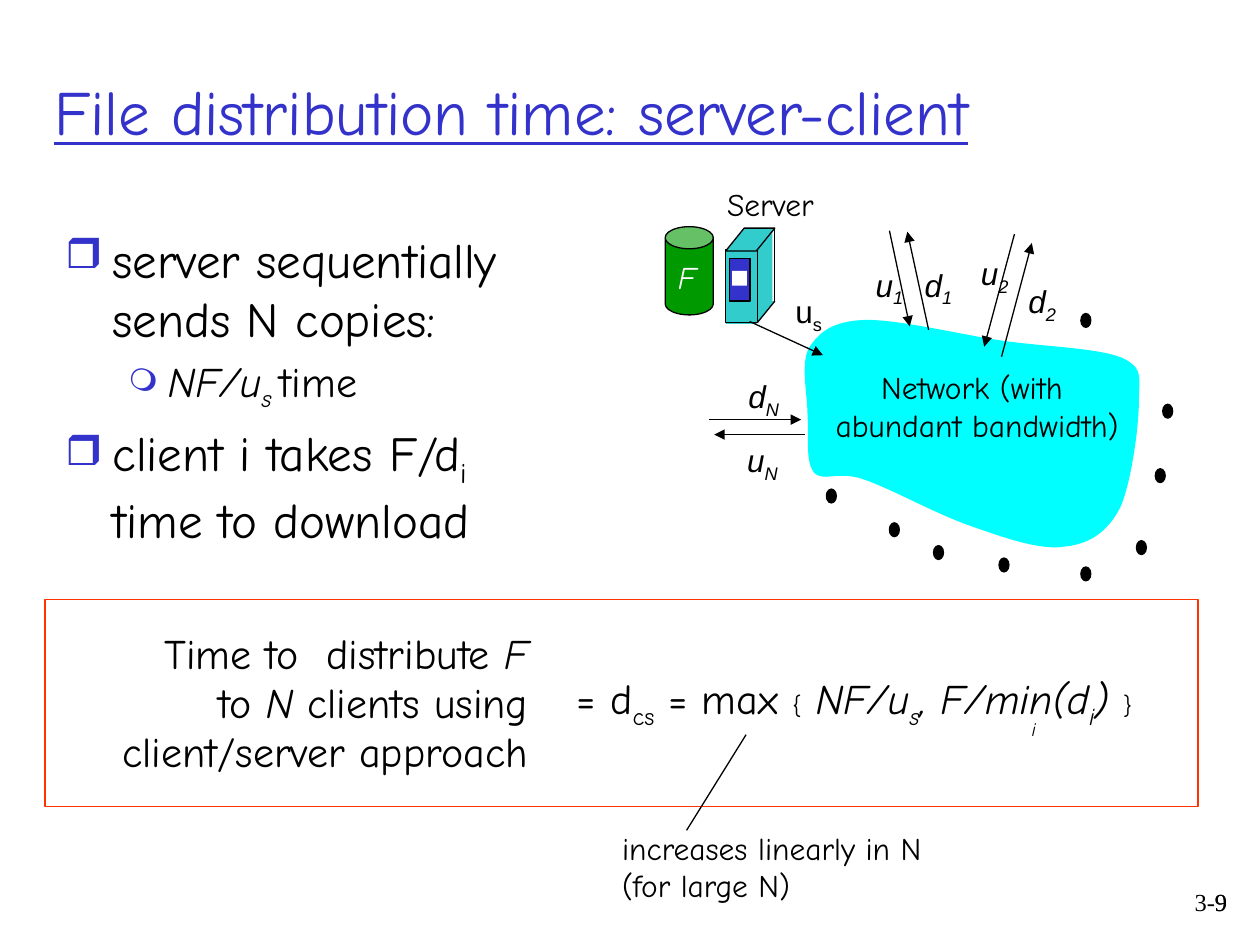
from dataclasses import dataclass
from typing import NamedTuple

from lxml import etree
from pptx import Presentation
from pptx import util as u
from pptx.dml.color import RGBColor
from pptx.enum import shapes, text
from pptx.oxml import ns

HUES = {"ink": "000000", "blue": "3333CC", "cyan": "00FFFF", "teal": "33CCCC",
        "green": "009900", "white": "FFFFFF", "red": "FF3300"}
COMIC, ARIAL, TIMES = "Comic Neue", "Arial", "Times New Roman"
KIND = shapes.MSO_SHAPE
LEFT, MID, RIGHT = text.PP_ALIGN.LEFT, text.PP_ALIGN.CENTER, text.PP_ALIGN.RIGHT


class Run(NamedTuple):
    words: str
    slant: bool = False
    sub: bool = False
    size: float = 0


@dataclass
class Para:
    runs: list[Run]
    size: float = 18
    mark: str = ""
    scale: int = 100
    left: float = 0
    hang: float = 0


@dataclass
class Label:
    box: tuple
    paras: list[Para]
    font: str = COMIC
    hue: str = "ink"
    side: int = MID
    wrap: bool = True
    grow: bool = True
    pitch: float = 0
    line: bool = False
    anchor: int = text.MSO_ANCHOR.TOP


@dataclass
class Block:
    kind: int
    box: tuple
    fill: str = ""
    edge: str = ""
    bend: float = 0


class Link(NamedTuple):
    start: tuple
    end: tuple
    tip: bool = True


def color(name: str) -> RGBColor:
    return RGBColor.from_string(HUES[name])


def cms(nums: tuple) -> list:
    return [u.Cm(n) for n in nums]


def paint(shape, fill: str, edge: str) -> None:
    shape.shadow.inherit = False
    if fill:
        shape.fill.solid()
        shape.fill.fore_color.rgb = color(fill)
    else:
        shape.fill.background()
    if edge:
        shape.line.color.rgb = color(edge)
        shape.line.width = u.Pt(0.75)
    else:
        shape.line.fill.background()


def add_block(slide, block: Block) -> None:
    shape = slide.shapes.add_shape(block.kind, *cms(block.box))
    if block.bend:
        shape.adjustments[0] = block.bend
    paint(shape, block.fill, block.edge)


def add_link(slide, link: Link) -> None:
    wire = slide.shapes.add_connector(shapes.MSO_CONNECTOR.STRAIGHT,
                                      *cms(link.start + link.end))
    wire.line.color.rgb = color("ink")
    wire.line.width = u.Pt(0.75)
    if link.tip:
        etree.SubElement(wire.line._get_or_add_ln(), ns.qn("a:tailEnd"), type="triangle")
    etree.SubElement(wire._element.spPr, ns.qn("a:effectLst"))


def add_cloud(slide, start: tuple, curves: list, steps: int = 12) -> None:
    points, here = [], start
    for one, two, end in curves:
        for step in range(1, steps + 1):
            t = step / steps
            s = 1 - t
            points.append(tuple(
                u.Cm(s ** 3 * a + 3 * s * s * t * b + 3 * s * t * t * c + t ** 3 * d)
                for a, b, c, d in zip(here, one, two, end)))
        here = end
    pen = slide.shapes.build_freeform(*cms(start), scale=1.0)
    pen.add_line_segments(points, close=True)
    paint(pen.convert_to_shape(), "cyan", "")


def set_mark(para, item: Para) -> None:
    props = para._p.get_or_add_pPr()
    props.set("marL", str(u.Cm(item.left)))
    props.set("indent", str(u.Cm(-item.hang)))
    if item.mark:
        tint = etree.SubElement(props, ns.qn("a:buClr"))
        etree.SubElement(tint, ns.qn("a:srgbClr"), val=HUES["blue"])
        etree.SubElement(props, ns.qn("a:buSzPct"), val=str(item.scale * 1000))
        etree.SubElement(props, ns.qn("a:buChar"), char=item.mark)


def add_label(slide, label: Label) -> None:
    frame = slide.shapes.add_textbox(*cms(label.box)).text_frame
    frame.word_wrap = label.wrap
    frame.vertical_anchor = label.anchor
    if label.grow:
        frame.auto_size = text.MSO_AUTO_SIZE.SHAPE_TO_FIT_TEXT
    for spot, item in enumerate(label.paras):
        para = frame.add_paragraph() if spot else frame.paragraphs[0]
        para.alignment = label.side
        if item.left:
            set_mark(para, item)
        if label.pitch:
            para.line_spacing = label.pitch
        if spot and item.left:
            para.space_before = u.Pt(round(item.size * 0.2, 1))
        for part in item.runs:
            run = para.add_run()
            run.text = part.words
            font = run.font
            font.name = label.font
            font.size = u.Pt(part.size or item.size)
            font.color.rgb = color(label.hue)
            font.italic = part.slant
            font.underline = label.line
            if part.sub:
                font._element.set("baseline", "-25000")


def rate(base: str, low: str, box: tuple, slant: bool = True) -> Label:
    return Label(box, [Para([Run(base, slant), Run(low, slant, True)])], ARIAL, wrap=slant)


def hung(size: float, *runs: Run) -> Para:
    return Para(list(runs), size, left=0.95, hang=0.95)


CLOUD = [((16.76, 6.48), (16.51, 6.71), (16.31, 7.01)),
         ((16.13, 7.34), (16.28, 7.95), (16.28, 8.38)),
         ((16.31, 8.79), (16.23, 9.3), (16.41, 9.53)),
         ((16.61, 9.73), (16.92, 9.47), (17.45, 9.68)),
         ((17.98, 9.86), (18.92, 10.39), (19.61, 10.62)),
         ((20.27, 10.85), (20.98, 11.1), (21.46, 11.02)),
         ((21.97, 10.97), (22.33, 10.72), (22.58, 10.24)),
         ((22.81, 9.73), (22.96, 8.59), (22.96, 8.08)),
         ((22.96, 7.59), (23.06, 7.42), (22.61, 7.21)),
         ((22.12, 7.01), (21.01, 6.99), (20.14, 6.86)),
         ((19.3, 6.73), (18.06, 6.43), (17.42, 6.45))]
DOTS = [(16.66, 9.86), (17.93, 10.54), (18.82, 11), (20.14, 11.25), (21.79, 11.43),
        (22.91, 10.9), (23.29, 9.45), (23.44, 8.15), (21.79, 6.32)]
BLOCKS = [Block(KIND.PARALLELOGRAM, (14.63, 6.07, 0.99, 0.46), "teal", bend=0.81),
          Block(KIND.RECTANGLE, (15.11, 4.6, 0.46, 1.47), "teal"),
          Block(KIND.RECTANGLE, (14.63, 5.03, 0.64, 1.47), "teal", "ink"),
          Block(KIND.PARALLELOGRAM, (14.63, 4.6, 0.99, 0.46), "teal", "ink", 0.81),
          Block(KIND.RECTANGLE, (14.71, 5.21, 0.41, 0.86), "blue", "ink"),
          Block(KIND.RECTANGLE, (14.76, 5.46, 0.3, 0.3), "white"),
          Block(KIND.CAN, (13.41, 4.57, 0.97, 1.78), "green", "ink", 0.46),
          *[Block(KIND.OVAL, (*dot, 0.2, 0.28), "ink", "ink") for dot in DOTS],
          Block(KIND.RECTANGLE, (0.91, 12.09, 23.24, 4.17), edge="red")]
LINKS = [Link((15.62, 4.62), (15.62, 6.07), False), Link((15.62, 6.07), (15.27, 6.5), False),
         Link((15.11, 6.48), (16.59, 7.16)), Link((18.72, 6.65), (18.29, 4.67)),
         Link((17.93, 4.65), (18.34, 6.58)), Link((20.45, 4.72), (19.84, 6.99)),
         Link((20.19, 7.19), (20.8, 4.9)), Link((14.3, 8.46), (16.15, 8.46)),
         Link((16.23, 8.76), (14.4, 8.76)), Link((13.84, 16.74), (15.04, 14.81), False)]
LABELS = [
    *[Label((23.06, 17.76, 1.93, 1.27), [Para([Run(num)], 14)], TIMES, side=RIGHT, grow=False)
      for num in ("3-9", "9")],
    Label((0.84, 0.64, 23.67, 3.18), [Para([Run("File distribution time: server-client")], 36)],
          hue="blue", side=LEFT, grow=False, line=True, anchor=text.MSO_ANCHOR.MIDDLE),
    rate("u", "s", (15.77, 5.77, 1.07, 1.02), False),
    rate("u", "1", (17.22, 5.23, 1.42, 1.02)), rate("d", "1", (18.36, 5.23, 1.12, 1.02)),
    rate("u", "2", (19.28, 5, 1.55, 1.02)), rate("d", "2", (20.45, 5.56, 1.12, 1.02)),
    rate("u", "N", (14.66, 8.76, 1.42, 1.02)), rate("d", "N", (14.66, 7.47, 1.47, 1.02)),
    Label((14.12, 3.61, 2.82, 1.02), [Para([Run("Server")])]),
    Label((16.36, 7.29, 6.68, 1.78),
          [Para([Run("Network (with ")]), Para([Run("abundant bandwidth)")])], wrap=False),
    Label((13.28, 5.08, 1.14, 1.02), [Para([Run("F", True)])], hue="white"),
    Label((1.07, 4.5, 10.44, 12.9), [
        Para([Run("server sequentially sends N copies:")], 28, "❒", 85, 0.95, 0.95),
        Para([Run("NF/u", True), Run("s ", True, True), Run("time")], 24, "❍", 75, 2.06, 0.79),
        Para([Run("client i takes F/d"), Run("i ", sub=True), Run("time to download")],
             28, "❒", 85, 0.95, 0.95)], side=LEFT, grow=False),
    Label((12.29, 16.74, 7.09, 1.65),
          [hung(18, Run("increases linearly in N")), hung(18, Run("(for large N)"))],
          side=LEFT, wrap=False, pitch=0.8),
    Label((11.02, 13.44, 12.42, 1.3), [hung(
        24, Run("= d"), Run("cs", sub=True), Run(" = max "), Run("{", size=14), Run(" "),
        Run("NF/u", True), Run("s", True, True), Run(", F/min(d", True),
        Run("i", True, True), Run(") ", True), Run("}", size=14))], wrap=False),
    Label((20.52, 14.33, 0.64, 0.74), [hung(11, Run("i", True))], wrap=False),
    Label((1.32, 12.73, 9.86, 3.15), [
        hung(24, Run("Time to  distribute "), Run("F ", True)),
        hung(24, Run("to "), Run("N", True), Run(" clients using ")),
        hung(24, Run("client/server approach "))], side=RIGHT, wrap=False, pitch=0.8)]


def main() -> None:
    deck = Presentation()
    deck.slide_width, deck.slide_height = cms((25.4, 19.05))
    slide = deck.slides.add_slide(deck.slide_layouts[6])
    add_cloud(slide, (17.42, 6.45), CLOUD)
    for draw, items in ((add_block, BLOCKS), (add_link, LINKS), (add_label, LABELS)):
        for item in items:
            draw(slide, item)
    deck.save("out.pptx")


if __name__ == "__main__":
    main()
